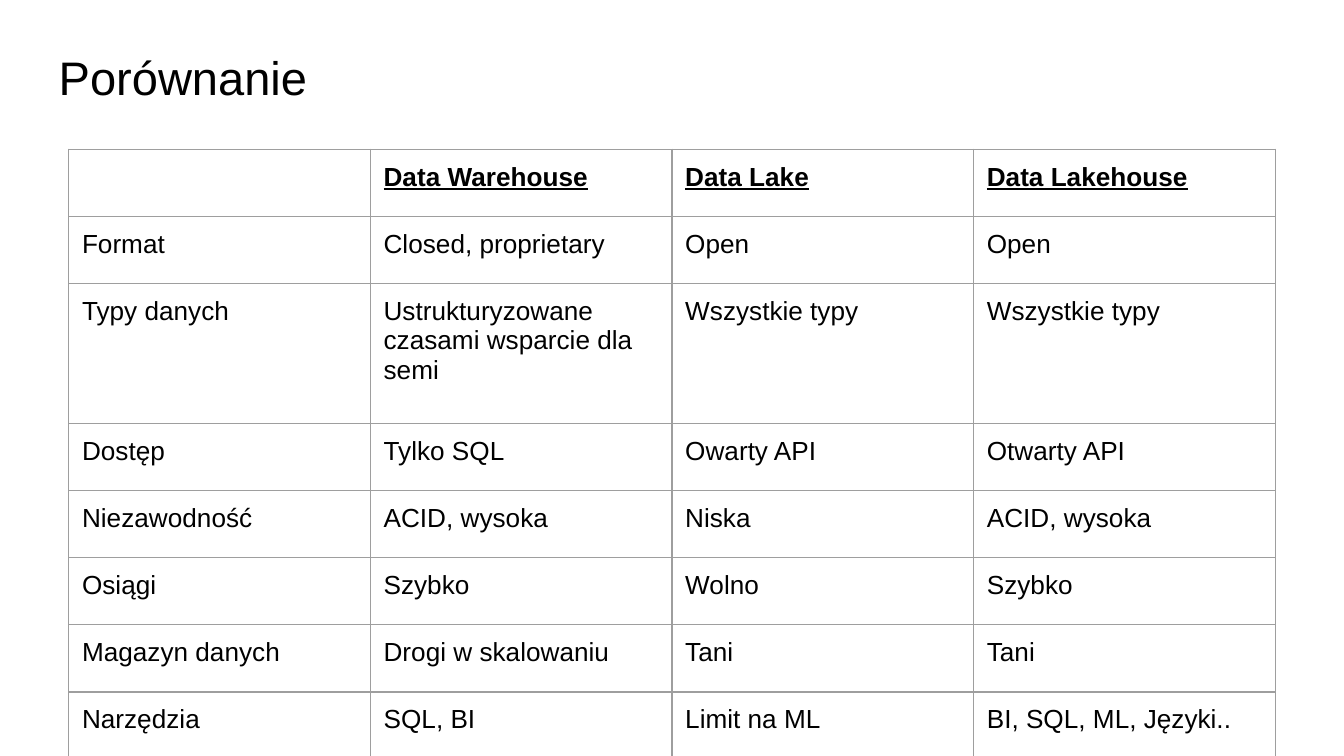
"""Build a slide that compares three kinds of data storage."""
from dataclasses import dataclass

from lxml import etree
from pptx import Presentation
from pptx import util as u
from pptx.dml.color import RGBColor
from pptx.enum import text
from pptx.oxml import ns


@dataclass(frozen=True)
class Theme:
    """Hold the colours, font and sizes of the slide."""
    font: str = "Arial"
    ink: str = "000000"
    paper: str = "FFFFFF"
    border: str = "9E9E9E"
    title_size: float = 25.2
    body_size: float = 14
    border_width: float = 0.75
    inset: float = 0.25


THEME = Theme()

COMPARISON = [
    ["", "Data Warehouse", "Data Lake", "Data Lakehouse"],
    ["Format", "Closed, proprietary", "Open", "Open"],
    ["Typy danych", "Ustrukturyzowane czasami wsparcie dla semi",
     "Wszystkie typy", "Wszystkie typy"],
    ["Dostęp", "Tylko SQL", "Owarty API", "Otwarty API"],
    ["Niezawodność", "ACID, wysoka", "Niska", "ACID, wysoka"],
    ["Osiągi", "Szybko", "Wolno", "Szybko"],
    ["Magazyn danych", "Drogi w skalowaniu", "Tani", "Tani"],
    ["Narzędzia", "SQL, BI", "Limit na ML", "BI, SQL, ML, Języki.."],
]
COLUMN_WIDTH = 5.7
ROW_HEIGHT = 1.27
TALL_ROW, TALL_HEIGHT = 2, 2.64


def write_text(frame, words, size=THEME.body_size, bold=False, underline=False):
    """Write one left-aligned paragraph in the given format."""
    para = frame.paragraphs[0]
    para.alignment = text.PP_ALIGN.LEFT
    para.font.size = u.Pt(size)
    if words:
        span = para.add_run()
        span.text = words
        font = span.font
        font.name, font.size = THEME.font, u.Pt(size)
        font.bold, font.underline = bold, underline
        font.color.rgb = RGBColor.from_string(THEME.ink)


def set_insets(holder):
    """Give a cell or text frame the same margin on all sides."""
    for side in ("left", "top", "right", "bottom"):
        setattr(holder, f"margin_{side}", u.Cm(THEME.inset))


def set_borders(cell):
    """Draw a thin solid line on the four sides of a cell."""
    properties = cell._tc.get_or_add_tcPr()
    for position, side in enumerate(("lnL", "lnR", "lnT", "lnB")):
        line = etree.Element(ns.qn(f"a:{side}"), w=str(u.Pt(THEME.border_width)))
        fill = etree.SubElement(line, ns.qn("a:solidFill"))
        etree.SubElement(fill, ns.qn("a:srgbClr"), val=THEME.border)
        properties.insert(position, line)


def add_title(page, words):
    """Place and fill the title placeholder."""
    box = page.shapes.title
    box.left, box.top = u.Cm(0.86), u.Cm(0.66)
    box.width, box.height = u.Cm(23.67), u.Cm(1.6)
    frame = box.text_frame
    frame.auto_size = text.MSO_AUTO_SIZE.NONE
    frame.word_wrap = True
    frame.vertical_anchor = text.MSO_ANCHOR.TOP
    set_insets(frame)
    write_text(frame, words, size=THEME.title_size)


def add_comparison(page, rows):
    """Add the bordered table with an underlined heading row."""
    heights = [TALL_HEIGHT if index == TALL_ROW else ROW_HEIGHT
               for index in range(len(rows))]
    columns = len(rows[0])
    table = page.shapes.add_table(
        len(rows), columns, u.Cm(1.3), u.Cm(2.82),
        u.Cm(COLUMN_WIDTH * columns), u.Cm(sum(heights))).table
    table.first_row = table.horz_banding = False
    for column in table.columns:
        column.width = u.Cm(COLUMN_WIDTH)
    for index, (row, height) in enumerate(zip(rows, heights)):
        table.rows[index].height = u.Cm(height)
        heading = index == 0
        for cell, words in zip(table.rows[index].cells, row):
            cell.fill.background()
            cell.vertical_anchor = text.MSO_ANCHOR.TOP
            set_insets(cell)
            set_borders(cell)
            write_text(cell.text_frame, words, bold=heading, underline=heading)


def main():
    """Build and save the deck."""
    deck = Presentation()
    deck.slide_width, deck.slide_height = u.Cm(25.4), u.Cm(14.29)
    page = deck.slides.add_slide(deck.slide_layouts.get_by_name("Title Only"))
    page.background.fill.solid()
    page.background.fill.fore_color.rgb = RGBColor.from_string(THEME.paper)
    add_title(page, "Porównanie")
    add_comparison(page, COMPARISON)
    deck.save("out.pptx")


if __name__ == "__main__":
    main()
